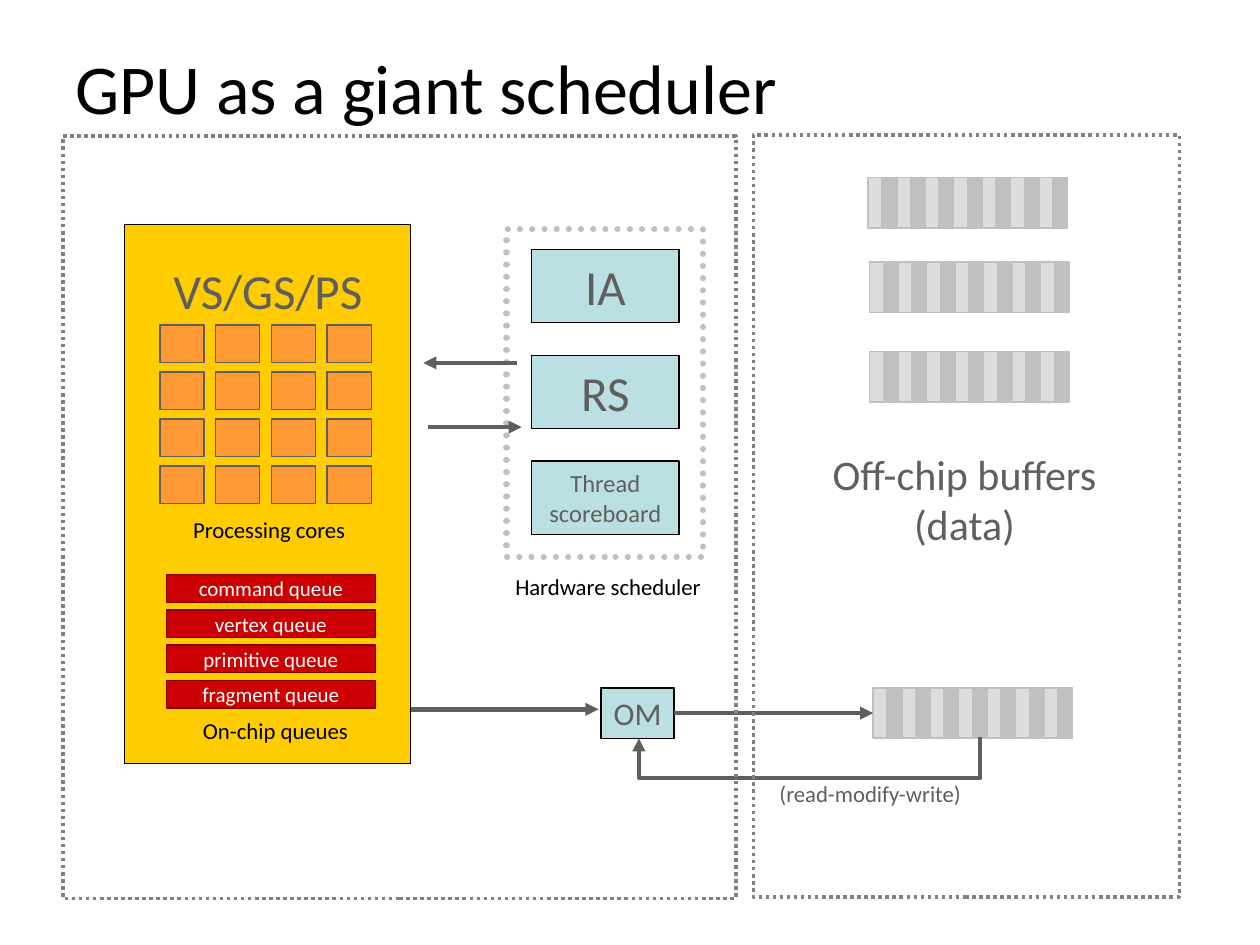
from lxml import etree
from pptx import Presentation
from pptx.dml.color import RGBColor
from pptx.enum.dml import MSO_LINE
from pptx.enum.shapes import MSO_CONNECTOR, MSO_SHAPE
from pptx.enum.text import MSO_ANCHOR, PP_ALIGN
from pptx.oxml.ns import qn
from pptx.util import Inches, Pt

RECT = MSO_SHAPE.RECTANGLE
STRAIGHT, ELBOW = MSO_CONNECTOR.STRAIGHT, MSO_CONNECTOR.ELBOW
DOT = MSO_LINE.ROUND_DOT
LEFT, CENTER = PP_ALIGN.LEFT, PP_ALIGN.CENTER
TOP, MIDDLE = MSO_ANCHOR.TOP, MSO_ANCHOR.MIDDLE

THEME = {
    "font": "Calibri",
    "black": "000000", "white": "FFFFFF", "gray": "5F5F5F",
    "frame": "808080", "silver": "C0C0C0", "pale": "DDDDDD",
    "stage": "BBE0E3", "chip": "FFCC00", "core": "FF9933",
    "queue": "CC0000", "queue_edge": "800000",
    "title": 40, "head": 28, "data": 24, "om": 18,
    "small": 14, "label": 13, "queue_size": 12,
}

prs = Presentation()
prs.slide_width, prs.slide_height = Inches(10), Inches(7.5)
COL, ROW = prs.slide_width / 100, prs.slide_height / 75
s = prs.slides.add_slide(prs.slide_layouts[6])


def add_text(text, x, y, w, h, parent=s, fill=None, line=None, width=0.75, dash=None,
             size="label", color="black", align=CENTER, anchor=MIDDLE, top=0.5):
    box = int(x * COL), int(y * ROW), int(w * COL), int(h * ROW)
    if fill or line:
        sp = parent.shapes.add_shape(RECT, *box)
        sp.shadow.inherit = False
        if fill:
            sp.fill.solid()
            sp.fill.fore_color.rgb = RGBColor.from_string(THEME[fill])
        else:
            sp.fill.background()
        sp.line.color.rgb = RGBColor.from_string(THEME[line])
        sp.line.width = Pt(width)
        if dash:
            sp.line.dash_style = dash
    else:
        sp = parent.shapes.add_textbox(*box)
    if text:
        tf = sp.text_frame
        tf.word_wrap = not fill
        tf.vertical_anchor = anchor
        tf.margin_top = int(top * ROW)
        for i, words in enumerate(text.split("\n")):
            p = tf.add_paragraph() if i else tf.paragraphs[0]
            p.alignment = align
            r = p.add_run()
            r.text = words
            r.font.name = THEME["font"]
            r.font.size = Pt(THEME[size])
            r.font.color.rgb = RGBColor.from_string(THEME[color])
    return sp


def add_arrow(x1, y1, x2, y2, kind=STRAIGHT):
    cx = s.shapes.add_connector(kind, int(x1 * COL), int(y1 * ROW), int(x2 * COL), int(y2 * ROW))
    cx.line.color.rgb = RGBColor.from_string(THEME["gray"])
    cx.line.width = Pt(2.5)
    etree.SubElement(cx.line._get_or_add_ln(), qn("a:tailEnd"), type="triangle")
    etree.SubElement(cx.element.spPr, qn("a:effectLst"))
    return cx


scheduler = add_text("", 40.2, 18.2, 15.6, 26, line="silver", width=3.5, dash=DOT)
scheduler.line._get_or_add_ln().set("cap", "rnd")

add_text("GPU as a giant scheduler", 5, 3, 90, 7.8, size="title", align=LEFT)

for i, (name, size) in enumerate([("IA", "head"), ("RS", "head"), ("Thread\nscoreboard", "small")]):
    add_text(name, 42.2, 19.8 + 8.4 * i, 11.7, 5.8, fill="stage", line="black", size=size, color="gray")

add_text("OM", 47.7, 54.6, 5.8, 4, fill="stage", line="black", size="om", color="gray")

add_text("VS/GS/PS", 9.9, 17.8, 22.7, 42.8, fill="chip", line="black",
         size="head", color="gray", anchor=TOP, top=2.9)

for row in range(4):
    for col in range(4):
        add_text("", 12.7 + 4.42 * col, 25.8 + 3.73 * row, 3.5, 3, fill="core", line="gray")

for i, name in enumerate(["command", "vertex", "primitive", "fragment"]):
    add_text(f"{name} queue", 13.2, 45.6 + 2.8 * i, 16.6, 2.2, fill="queue", line="queue_edge",
             size="queue_size", color="white")

for label, x, y, w in [("Hardware scheduler", 37.1, 45, 22.3),
                       ("On-chip queues", 11.9, 56.4, 19.9),
                       ("Processing cores", 11.4, 40.4, 19.9)]:
    add_text(label, x, y, w, 3.2, anchor=TOP)
add_text("(read-modify-write)", 59.1, 61.4, 19.9, 3.2, color="gray", anchor=TOP)
add_text("Off-chip buffers\n(data)", 63.9, 35.1, 25.3, 13, size="data", color="gray", anchor=TOP)

for x, y in [(69.3, 54.6), (68.9, 14.1), (69, 20.8), (69, 27.9)]:
    buffer = s.shapes.add_group_shape()
    for i in range(14):
        add_text("", x + 1.13 * i, y, 1.13, 4, parent=buffer,
                 fill="silver" if i % 2 else "pale", line="silver", width=1)

for ends in [(53.5, 56.6, 69.3, 56.6), (41, 28.8, 33.6, 28.8),
             (34, 33.9, 41.4, 33.9), (32.6, 56.3, 47.5, 56.3)]:
    add_arrow(*ends)

feedback = add_arrow(64.2, 45, 64.3, 72.1, ELBOW)
feedback.element.spPr.find(qn("a:xfrm")).set("rot", "5400000")
guides = feedback.element.spPr.find(qn("a:prstGeom")).find(qn("a:avLst"))
etree.SubElement(guides, qn("a:gd"), name="adj1", fmla="val 3300000")

for x, y, w in [(59.8, 10.7, 33.8), (5, 10.8, 53.4)]:
    add_text("", x, y, w, 60.5, line="frame", width=2, dash=DOT)

prs.save("out.pptx")
